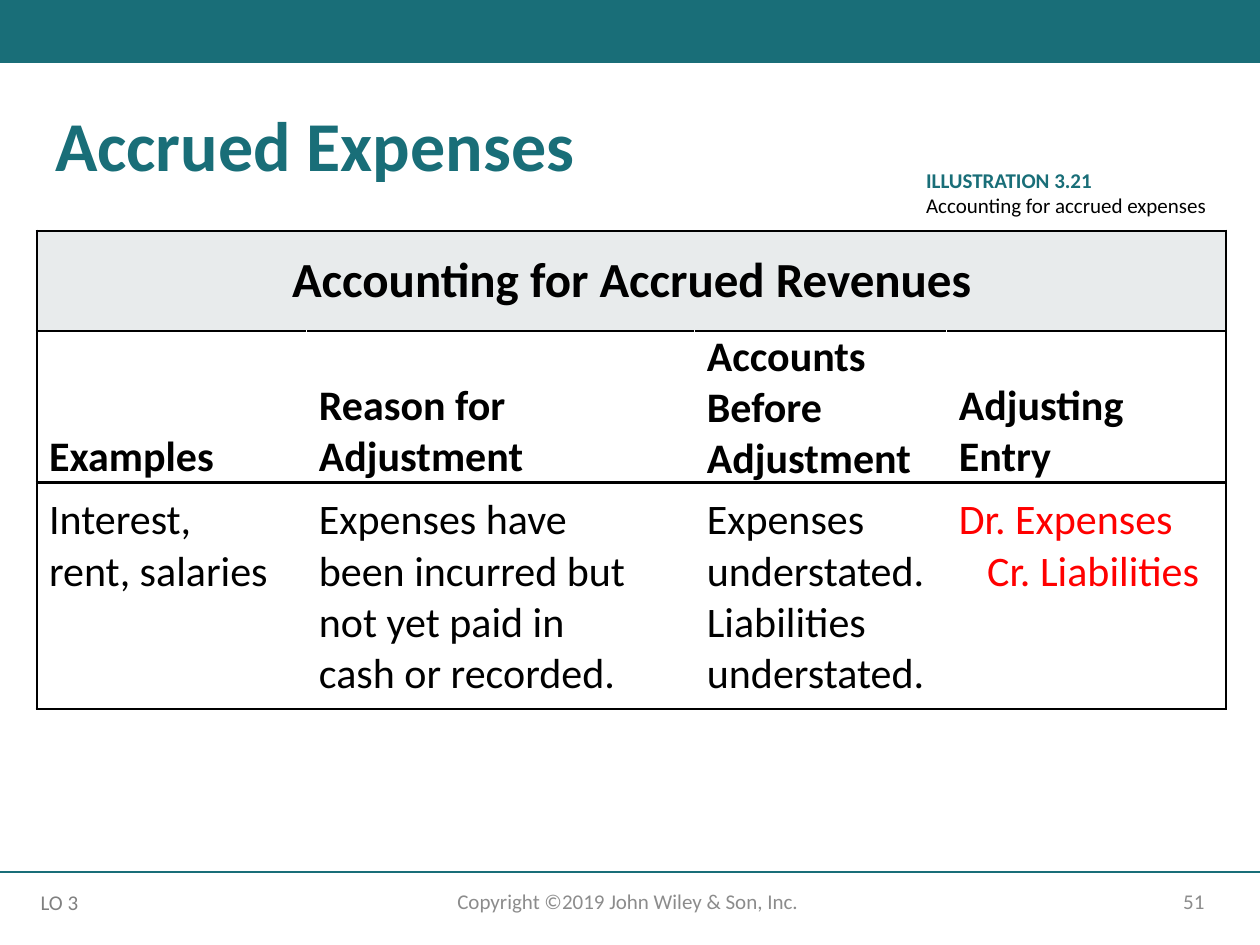
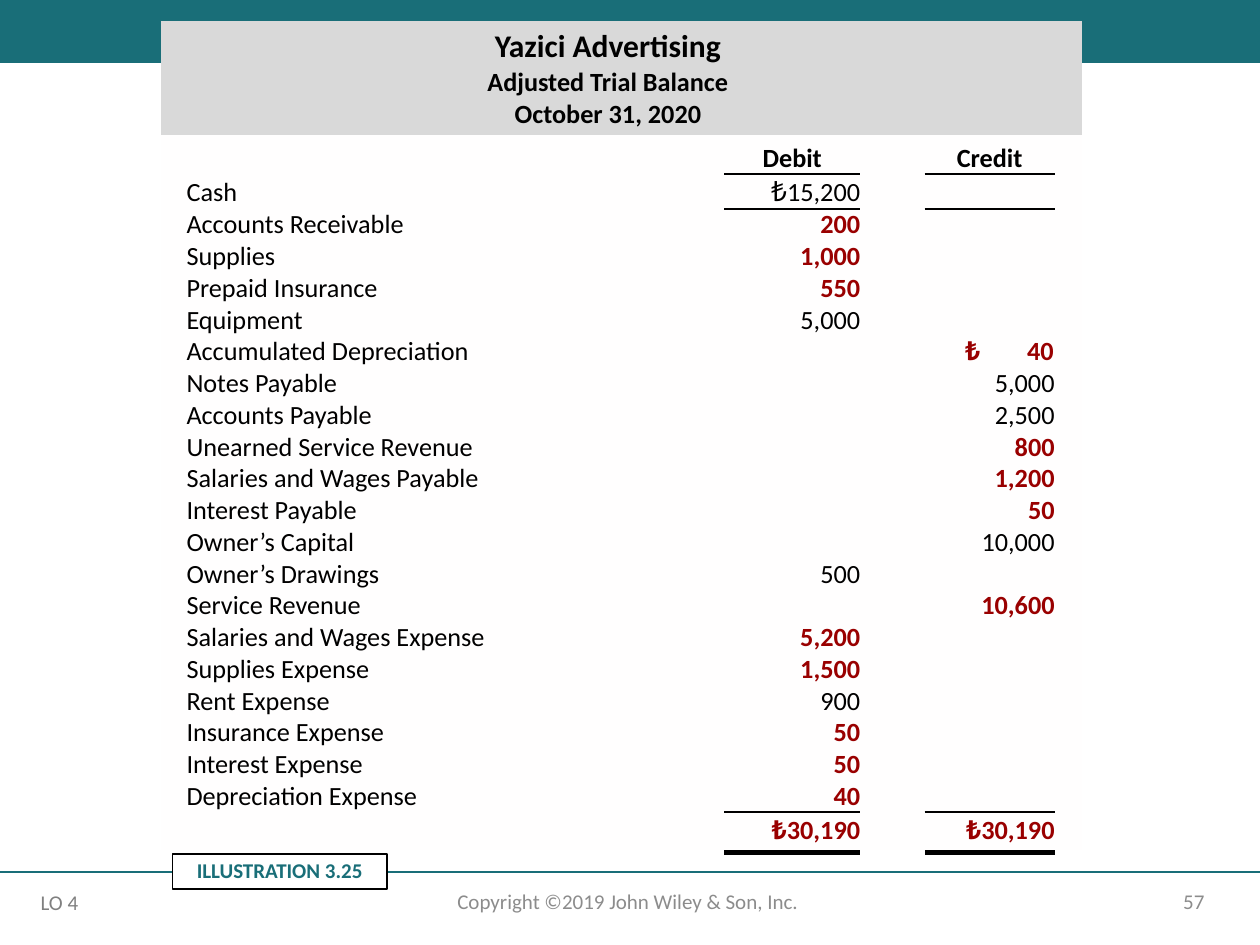
from dataclasses import dataclass
from typing import Any

from lxml import etree
from pptx import Presentation
from pptx.dml.color import RGBColor
from pptx.enum import shapes, text
from pptx.oxml import ns
from pptx.util import Cm, Pt

TEAL, BLACK, WHITE, RED = "196E78", "000000", "FFFFFF", "FF0000"
GREY, OBJECTIVE_GREY, CRIMSON = "8C8C8C", "808080", "990000"
HEADING_FILL, STATEMENT_FILL, PAPER = "E8EBEC", "D9D9D9", "FFFEFE"
LEFT, CENTER, RIGHT = text.PP_ALIGN.LEFT, text.PP_ALIGN.CENTER, text.PP_ALIGN.RIGHT
TOP, MIDDLE, BOTTOM = text.MSO_ANCHOR.TOP, text.MSO_ANCHOR.MIDDLE, text.MSO_ANCHOR.BOTTOM
INSETS = (0.25, 0.13, 0.25, 0.13)
NO_INSETS = (0, 0, 0, 0)


def color(value):
    return RGBColor.from_string(value)


def lines_of(block, size, ink=BLACK, bold=False):
    return [[(line, size, ink, bold)] for line in block.split("\n")]


@dataclass
class Deck:
    presentation: Any
    font: str = "Calibri"
    slide: Any = None

    def new_slide(self, objective, number):
        self.slide = self.presentation.slides.add_slide(self.presentation.slide_layouts[6])
        self.box((0, 0, 25.4, 1.27), TEAL)
        self.line((0, 17.58), (25.4, 17.58), TEAL, 1)
        self.text((17.93, 17.65, 6.6, 1.02), lines_of(number, 12, GREY), RIGHT, MIDDLE)
        self.text((8.41, 17.65, 8.59, 1.02),
                  lines_of("Copyright ©2019 John Wiley & Son, Inc. ", 12, GREY), CENTER, MIDDLE)
        learning = self.text((0.64, 17.81, 1.35, 0.76),
                             lines_of(objective, 12, OBJECTIVE_GREY), insets=(0, 0.13, 0, 0.13))
        self.indent(learning.paragraphs[0], 0.18)

    def add_lines(self, frame, lines, align=LEFT, spacing=None):
        for index, runs in enumerate(lines):
            paragraph = frame.paragraphs[0] if index == 0 else frame.add_paragraph()
            paragraph.alignment = align
            if spacing:
                paragraph.line_spacing = spacing
            for words, size, ink, bold in runs:
                run = paragraph.add_run()
                run.text = words
                run.font.name = self.font
                run.font.size = Pt(size)
                run.font.bold = bold
                run.font.color.rgb = color(ink)

    def indent(self, paragraph, distance):
        properties = paragraph._p.get_or_add_pPr()
        properties.set("marL", str(Cm(distance)))
        properties.set("indent", "0")

    def tabs(self, paragraph, stops):
        tab_list = etree.SubElement(paragraph._p.get_or_add_pPr(), ns.qn("a:tabLst"))
        for position, align in stops:
            etree.SubElement(tab_list, ns.qn("a:tab"), pos=str(Cm(position)), algn=align)

    def text(self, area, lines, align=LEFT, anchor=TOP, insets=INSETS, spacing=None):
        frame = self.slide.shapes.add_textbox(*map(Cm, area)).text_frame
        frame.word_wrap = True
        frame.vertical_anchor = anchor
        self.margins(frame, insets)
        self.add_lines(frame, lines, align, spacing)
        return frame

    def margins(self, target, insets):
        (target.margin_left, target.margin_top,
         target.margin_right, target.margin_bottom) = map(Cm, insets)

    def box(self, area, fill, outline=None, lines=()):
        shape = self.slide.shapes.add_shape(shapes.MSO_SHAPE.RECTANGLE, *map(Cm, area))
        shape.shadow.inherit = False
        shape.fill.solid()
        shape.fill.fore_color.rgb = color(fill)
        if outline:
            shape.line.color.rgb = color(outline)
            shape.line.width = Pt(1)
        else:
            shape.line.fill.background()
        shape.text_frame.vertical_anchor = MIDDLE
        self.add_lines(shape.text_frame, lines, CENTER, 0.9)

    def line(self, start, end, ink, width):
        connector = self.slide.shapes.add_connector(
            shapes.MSO_CONNECTOR.STRAIGHT, *map(Cm, start + end))
        connector.line.color.rgb = color(ink)
        connector.line.width = Pt(width)
        etree.SubElement(connector._element.spPr, ns.qn("a:effectLst"))

    def table(self, left, top, widths, heights):
        table = self.slide.shapes.add_table(
            len(heights), len(widths), Cm(left), Cm(top),
            Cm(sum(widths)), Cm(sum(heights))).table
        table.first_row = table.horz_banding = False
        for column, width in zip(table.columns, widths):
            column.width = Cm(width)
        for row, height in zip(table.rows, heights):
            row.height = Cm(height)
        return table

    def cell(self, cell, lines=(), align=LEFT, anchor=BOTTOM, insets=NO_INSETS,
             fill=None, **edges):
        self.margins(cell, insets)
        cell.vertical_anchor = anchor
        if lines:
            self.add_lines(cell.text_frame, lines, align)
        else:
            cell.text_frame.paragraphs[0]._p.get_or_add_endParaRPr().set("sz", "1500")
        properties = cell._tc.get_or_add_tcPr()
        for index, side in enumerate("LRTB"):
            ink, width = edges.get(side, (None, 1))
            edge = etree.Element(ns.qn("a:ln" + side), w=str(Pt(width)))
            if ink:
                solid = etree.SubElement(edge, ns.qn("a:solidFill"))
                etree.SubElement(solid, ns.qn("a:srgbClr"), val=ink)
            else:
                etree.SubElement(edge, ns.qn("a:noFill"))
            properties.insert(index, edge)
        if fill:
            cell.fill.solid()
            cell.fill.fore_color.rgb = color(fill)
        else:
            cell.fill.background()


HEADINGS = ["Examples", "Reason for\nAdjustment", "Accounts\nBefore\nAdjustment",
            "Adjusting\nEntry"]
DETAILS = ["Interest,\nrent, salaries",
           "Expenses have\nbeen incurred but\nnot yet paid in\ncash or recorded.",
           "Expenses\nunderstated.\nLiabilities\nunderstated.",
           "Dr. Expenses\nCr. Liabilities"]

ACCOUNTS = [
    ("Cash", "₺15,200", "", False),
    ("Accounts Receivable", "200", "", True),
    ("Supplies", "1,000", "", True),
    ("Prepaid Insurance", "550", "", True),
    ("Equipment", "5,000", "", False),
    ("Accumulated Depreciation", "", "\t₺\t40", True),
    ("Notes Payable", "", "5,000", False),
    ("Accounts Payable", "", "2,500", False),
    ("Unearned Service Revenue", "", "800", True),
    ("Salaries and Wages Payable", "", "1,200", True),
    ("Interest Payable", "", "50", True),
    ("Owner’s Capital", "", "10,000", False),
    ("Owner’s Drawings", "500", "", False),
    ("Service Revenue", "", "10,600", True),
    ("Salaries and Wages Expense", "5,200", "", True),
    ("Supplies Expense", "1,500", "", True),
    ("Rent Expense", "900", "", False),
    ("Insurance Expense", "50", "", True),
    ("Interest Expense", "50", "", True),
    ("Depreciation Expense", "40", "", True),
    ("", "₺30,190", "₺30,190", True),
]


def accrued_expenses(deck):
    deck.new_slide("LO 3", "51")
    deck.text((0.86, 2.11, 24.1, 1.8), lines_of("Accrued Expenses", 40, TEAL, True), spacing=0.9)
    summary = deck.table(0.74, 4.65, [5.44, 7.82, 5.08, 5.64], [2.03, 3.05, 4.57])
    rule, gap = (BLACK, 1.5), (WHITE, 1)
    summary.cell(0, 0).merge(summary.cell(0, 3))
    deck.cell(summary.cell(0, 0), lines_of("Accounting for Accrued Revenues", 28, bold=True),
              CENTER, MIDDLE, (0.25, 0, 0.25, 0), HEADING_FILL, L=rule, R=rule, T=rule, B=rule)
    for column, (heading, detail) in enumerate(zip(HEADINGS, DETAILS)):
        last = column == len(HEADINGS) - 1
        edges = dict(L=gap if column else rule, R=rule if last else gap, T=rule, B=rule)
        if column:
            deck.cell(summary.cell(0, column), fill=HEADING_FILL, **edges)
        deck.cell(summary.cell(1, column), lines_of(heading, 24, bold=True),
                  insets=(0.25, 0, 0.25, 0), **edges)
        deck.cell(summary.cell(2, column), lines_of(detail, 24, RED if last else BLACK),
                  anchor=TOP, insets=(0.25, 0.25, 0.25, 0.25), **edges)
    deck.indent(summary.cell(2, 3).text_frame.paragraphs[1], 0.57)
    deck.text((18.42, 3.25, 6.73, 1.27),
              lines_of("ILLUSTRATION 3.21", 12, TEAL, True)
              + lines_of("Accounting for accrued expenses", 12))


def amount_lines(amount, changed):
    if not amount:
        return []
    if amount.startswith("₺") and not changed:
        return [[("₺", 16, BLACK, False), (amount[1:], 15, BLACK, False)]]
    return lines_of(amount, 15, CRIMSON if changed else BLACK, changed)


def adjusted_trial_balance(deck):
    deck.new_slide("LO 4", "57")
    heights = [2.26, 0.79, 0.7] + [0.64] * (len(ACCOUNTS) - 2) + [0.77]
    balance = deck.table(3.25, 0.43, [11.35, 2.74, 1.3, 2.62, 0.56], heights)
    rule, total_rule = (BLACK, 1.5), (BLACK, 6)
    balance.cell(0, 0).merge(balance.cell(0, 3))
    deck.cell(balance.cell(0, 0),
              lines_of("Yazici Advertising", 18, bold=True)
              + lines_of("Adjusted Trial Balance\nOctober 31, 2020", 15, bold=True),
              CENTER, MIDDLE, (0, 0.13, 0, 0.13), STATEMENT_FILL)
    deck.cell(balance.cell(0, 4), fill=STATEMENT_FILL)
    for column, heading in enumerate(["", "Debit", "", "Credit", ""]):
        edges = dict(B=rule) if heading else {}
        deck.cell(balance.cell(1, column),
                  lines_of(heading, 15, bold=True) if heading else [],
                  CENTER, fill=PAPER, **edges)
    total_row = len(heights) - 1
    for row, (account, debit, credit, changed) in enumerate(ACCOUNTS, 2):
        deck.cell(balance.cell(row, 0), lines_of(account, 15) if account else [],
                  insets=(0.51, 0, 0, 0), fill=PAPER)
        edges = {}
        if row in (2, 3, total_row):
            edges["T"] = rule
        if row in (2, total_row - 1):
            edges["B"] = rule
        if row == total_row:
            edges["B"] = total_rule
        for column, amount in ((1, debit), (3, credit)):
            tabbed = "\t" in amount
            cell = balance.cell(row, column)
            if tabbed:
                deck.tabs(cell.text_frame.paragraphs[0], [(0.82, "l"), (2.6, "r")])
            deck.cell(cell, amount_lines(amount, changed), LEFT if tabbed else RIGHT,
                      insets=(0, 0, 0, 0.08 if row == total_row else 0), fill=PAPER, **edges)
        for column in (2, 4):
            deck.cell(balance.cell(row, column), fill=PAPER)
    deck.box((3.48, 17.22, 4.32, 0.71), WHITE, BLACK,
             lines_of("ILLUSTRATION 3.25", 12, TEAL, True))
    deck.line((14.17, 17.09), (21.59, 17.09), PAPER, 2.25)


def main():
    presentation = Presentation()
    presentation.slide_width, presentation.slide_height = Cm(25.4), Cm(19.05)
    deck = Deck(presentation)
    accrued_expenses(deck)
    adjusted_trial_balance(deck)
    presentation.save("out.pptx")


if __name__ == "__main__":
    main()
